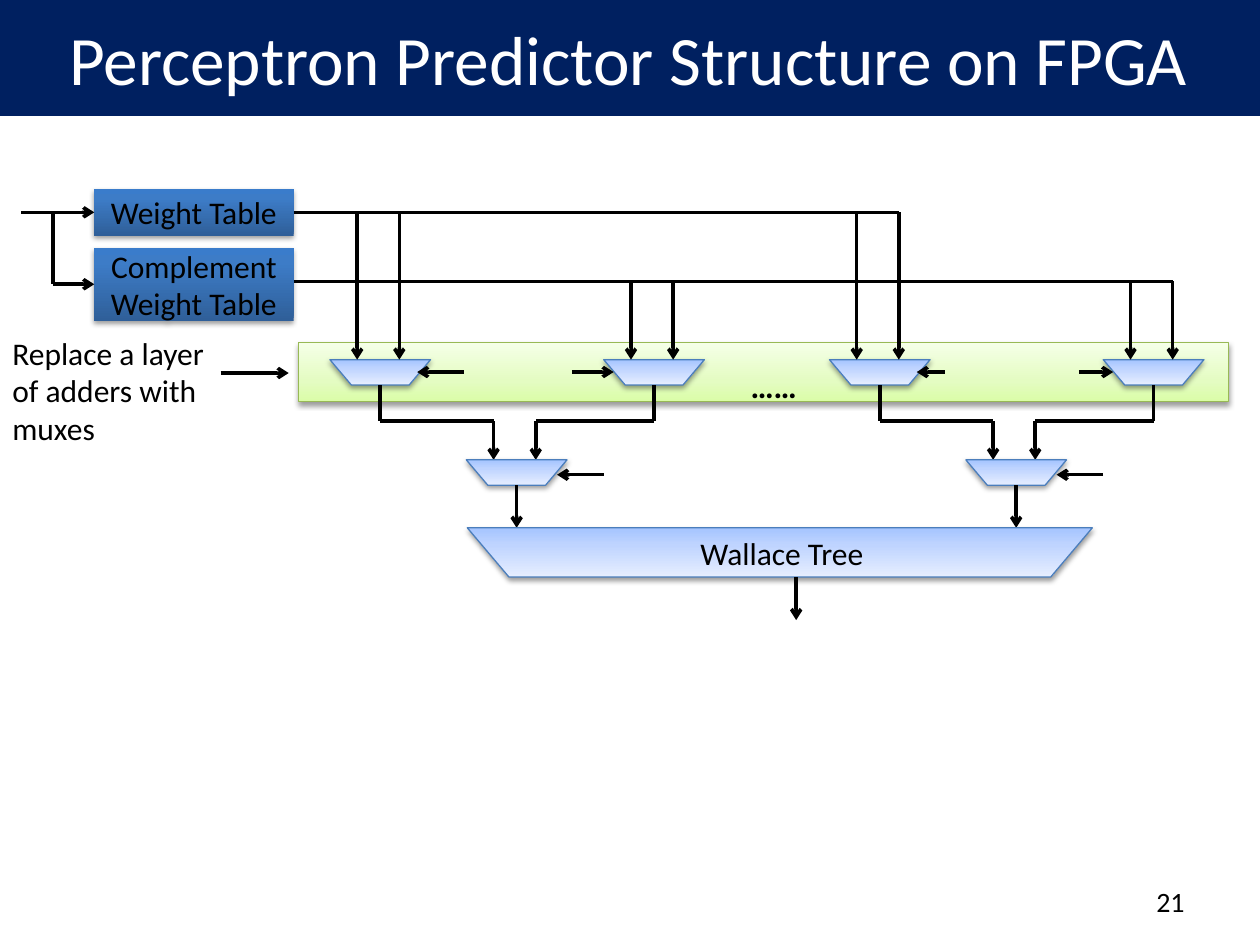
from dataclasses import dataclass

from lxml.etree import SubElement
from pptx import Presentation
from pptx.dml.color import RGBColor
from pptx.enum.shapes import MSO_CONNECTOR, MSO_SHAPE
from pptx.enum.text import MSO_ANCHOR as ANCHOR, PP_ALIGN as ALIGN
from pptx.oxml.ns import qn
from pptx.util import Cm, Pt


@dataclass(frozen=True)
class Theme:
    font: str = "Calibri"
    ink: str = "000000"
    paper: str = "FFFFFF"
    navy: str = "002060"
    table: tuple = ((0, "2F5F99"), (80, "3D7CC7"), (100, "3A7CCB"))
    mux: tuple = ((0, "A4C4FF"), (35, "BFD4FF"), (100, "E6EEFF"))
    mux_line: str = "4B7EBC"
    band: tuple = ((0, "DAFDA7"), (35, "E4FCC2"), (100, "F5FFE7"))
    band_line: str = "98B955"
    title_pt: float = 39.6
    body_pt: float = 18
    dots_pt: float = 32
    number_pt: float = 16
    wire_pt: float = 2
    edge_pt: float = 0.75


T = Theme()

# All lengths are in centimetres.
WEIGHT_Y, COMPLEMENT_Y = 4.28, 5.67
TABLE_X, TABLE_W = 1.9, 4.02
TABLE_RIGHT = TABLE_X + TABLE_W
MUX_W, MUX_H = 2.03, 0.51
MUX_Y, JOIN_Y, LOWER_Y, WALLACE_Y = 7.25, 8.49, 9.27, 10.64
MUX_INPUTS = (0.55, 1.4)
WEIGHT_MUX_X, LOWER_MUX_X, COMPLEMENT_MUX_X = 6.65, 9.4, 12.17
TREE_SHIFT = 10.07


def rgb(value):
    return RGBColor.from_string(value)


def write(sp, text, size, color=T.ink, align=ALIGN.LEFT, anchor=ANCHOR.TOP, bold=False):
    tf = sp.text_frame
    tf.word_wrap = True
    tf.vertical_anchor = anchor
    p = tf.paragraphs[0]
    p.alignment = align
    r = p.add_run()
    r.text = text
    r.font.name, r.font.size, r.font.bold = T.font, Pt(size), bold
    r.font.color.rgb = rgb(color)
    return r


def add_label(slide, box, text, size, **style):
    return write(slide.shapes.add_textbox(*map(Cm, box)), text, size, **style)


def add_block(slide, kind, box, fill, line=None):
    """Add a shape with a solid colour, or with gradient stops and a soft shadow."""
    sp = slide.shapes.add_shape(kind, *map(Cm, box))
    sp.shadow.inherit = False
    if line:
        sp.line.color.rgb = rgb(line)
        sp.line.width = Pt(T.edge_pt)
    else:
        sp.line.fill.background()
    if isinstance(fill, str):
        sp.fill.solid()
        sp.fill.fore_color.rgb = rgb(fill)
    else:
        set_gradient(sp, fill)
        add_shadow(sp)
    return sp


def set_gradient(sp, stops):
    sp.fill.gradient()
    sp.fill.gradient_angle = 90
    stop_list = next(sp.element.spPr.iter(qn("a:gsLst")))
    for old in list(stop_list):
        stop_list.remove(old)
    for percent, color in stops:
        stop = SubElement(stop_list, qn("a:gs"), pos=str(percent * 1000))
        SubElement(stop, qn("a:srgbClr"), val=color)


def add_shadow(sp):
    effects = sp.element.spPr.find(qn("a:effectLst"))
    shadow = SubElement(effects, qn("a:outerShdw"), blurRad=str(Pt(3.1)),
                        dist=str(Pt(1.6)), dir="5400000", rotWithShape="0")
    color = SubElement(shadow, qn("a:srgbClr"), val=T.ink)
    SubElement(color, qn("a:alpha"), val="38000")


def add_wire(slide, *points, arrow=True):
    """Join the points with straight lines; the last one may carry an arrowhead."""
    for start, end in zip(points, points[1:]):
        line = slide.shapes.add_connector(MSO_CONNECTOR.STRAIGHT, *map(Cm, start + end))
        line.line.color.rgb = rgb(T.ink)
        line.line.width = Pt(T.wire_pt)
        spPr = line._element.spPr
        if arrow and end == points[-1]:
            SubElement(spPr.find(qn("a:ln")), qn("a:tailEnd"), type="arrow")
        SubElement(spPr, qn("a:effectLst"))


def add_trapezoid(slide, x, y, w=MUX_W, h=MUX_H):
    sp = add_block(slide, MSO_SHAPE.TRAPEZOID, (x, y, w, h), T.mux, T.mux_line)
    sp.rotation = 180
    sp.adjustments[0] = 0.846


def add_table_block(slide, y, h, text):
    sp = add_block(slide, MSO_SHAPE.RECTANGLE, (TABLE_X, y, TABLE_W, h), T.table)
    write(sp, text, T.body_pt, align=ALIGN.CENTER, anchor=ANCHOR.MIDDLE)


def add_upper_mux(slide, x, bus_y, join_x, select_x, select_length):
    """Add a mux fed from a bus; a negative select length points left."""
    add_trapezoid(slide, x, MUX_Y)
    for dx in MUX_INPUTS:
        add_wire(slide, (x + dx, bus_y), (x + dx, MUX_Y))
    tip, y = x + select_x, MUX_Y + 0.25
    add_wire(slide, (tip - select_length, y), (tip, y))
    middle = x + MUX_W / 2
    add_wire(slide, (middle, MUX_Y + MUX_H), (middle, JOIN_Y),
             (join_x, JOIN_Y), (join_x, LOWER_Y))


def add_mux_tree(slide, shift, left_select, right_select):
    lower = LOWER_MUX_X + shift
    left_join, right_join = (lower + dx for dx in MUX_INPUTS)
    add_upper_mux(slide, WEIGHT_MUX_X + shift, WEIGHT_Y, left_join, 1.76, -left_select)
    add_upper_mux(slide, COMPLEMENT_MUX_X + shift, COMPLEMENT_Y, right_join, 0.2, right_select)
    add_trapezoid(slide, lower, LOWER_Y)
    select_y, middle = LOWER_Y + 0.3, lower + MUX_W / 2
    add_wire(slide, (lower + 2.77, select_y), (lower + 1.83, select_y))
    add_wire(slide, (middle, LOWER_Y + MUX_H), (middle, WALLACE_Y))


def add_inputs(slide):
    add_table_block(slide, 3.81, 0.94, "Weight Table")
    add_table_block(slide, 5.0, 1.47, "Complement Weight Table")
    add_wire(slide, (0.43, WEIGHT_Y), (TABLE_X, WEIGHT_Y))
    add_wire(slide, (1.07, WEIGHT_Y), (1.07, 5.73), (TABLE_X, 5.73))
    for y, mux_x in ((WEIGHT_Y, WEIGHT_MUX_X), (COMPLEMENT_Y, COMPLEMENT_MUX_X)):
        end = mux_x + TREE_SHIFT + MUX_INPUTS[-1]
        add_wire(slide, (TABLE_RIGHT, y), (end, y), arrow=False)


def add_wallace_tree(slide):
    add_trapezoid(slide, 9.42, WALLACE_Y, 12.6, 0.99)
    add_label(slide, (13.87, WALLACE_Y, 4.39, 1.02), "Wallace Tree", T.body_pt)
    add_wire(slide, (16.05, 11.63), (16.05, 12.5))


def main():
    prs = Presentation()
    prs.slide_width, prs.slide_height = Cm(25.4), Cm(19.05)
    slide = prs.slides.add_slide(prs.slide_layouts[6])

    add_block(slide, MSO_SHAPE.RECTANGLE, (6.02, 6.91, 18.75, 1.19), T.band, T.band_line)
    title = add_block(slide, MSO_SHAPE.RECTANGLE, (-0.05, 0, 25.45, 2.34), T.navy)
    write(title, "Perceptron Predictor Structure on FPGA", T.title_pt, T.paper,
          ALIGN.CENTER, ANCHOR.MIDDLE)

    add_inputs(slide)
    dots = add_label(slide, (14.2, 6.5, 2.79, 1.17), "……", T.dots_pt,
                     align=ALIGN.CENTER, bold=True)
    dots.font._element.set("baseline", "-25000")
    add_mux_tree(slide, 0, 0.94, 0.84)
    add_mux_tree(slide, TREE_SHIFT, 0.56, 0.69)
    add_wallace_tree(slide)

    add_label(slide, (0, 6.6, 4.45, 2.57), "Replace a layer of adders with muxes", T.body_pt)
    add_wire(slide, (4.45, 7.52), (5.82, 7.52))
    add_label(slide, (18.21, 17.65, 5.92, 1.02), "21", T.number_pt,
              align=ALIGN.RIGHT, anchor=ANCHOR.MIDDLE)
    prs.save("out.pptx")


if __name__ == "__main__":
    main()
